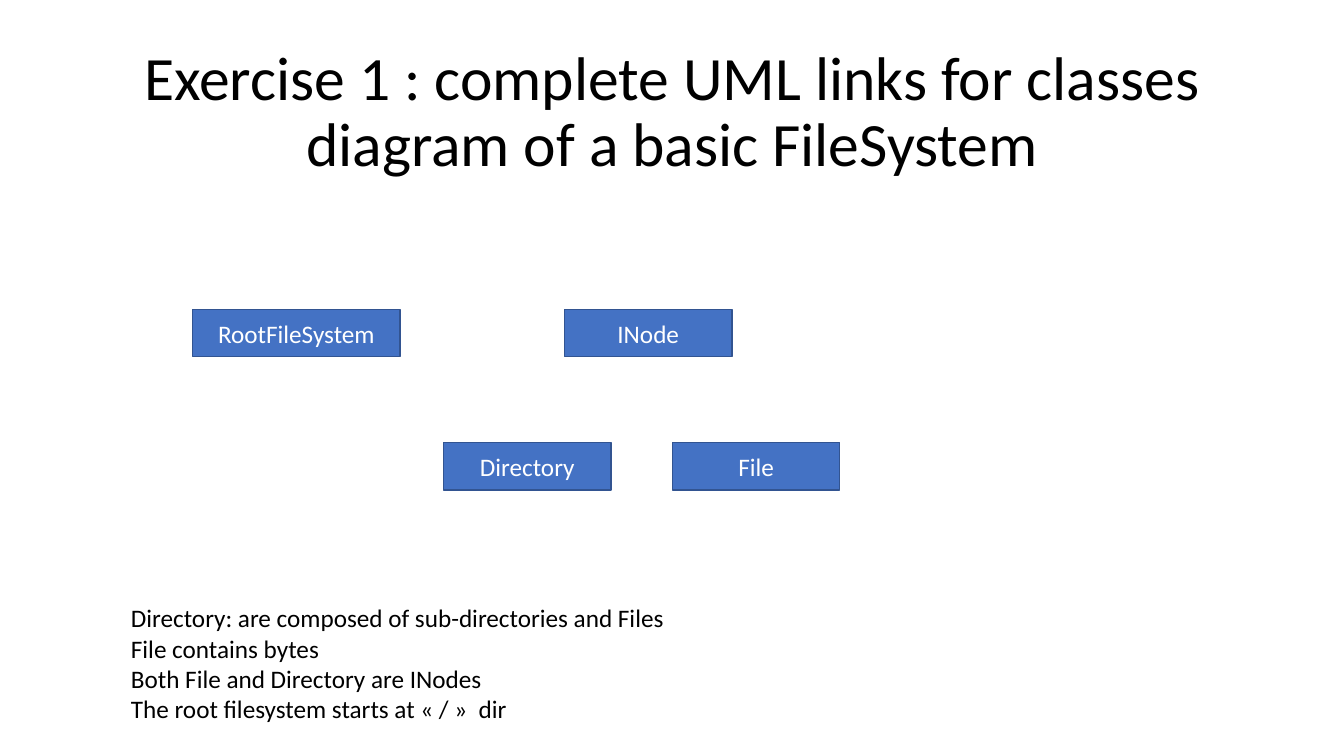
from pptx import Presentation
from pptx.dml.color import RGBColor
from pptx.enum.shapes import MSO_SHAPE
from pptx.enum.text import MSO_ANCHOR, MSO_AUTO_SIZE, PP_ALIGN
from pptx.util import Inches, Pt

COLORS = {"text": "000000", "box": "4472C4", "border": "325491", "label": "FFFFFF"}


def write(p, text, size=18, color="text", align=PP_ALIGN.LEFT, spacing=None):
    p.alignment = align
    p.line_spacing = spacing
    r = p.add_run()
    r.text = text
    r.font.name = "Calibri"
    r.font.size = Pt(size)
    r.font.color.rgb = RGBColor.from_string(COLORS[color])


prs = Presentation()
prs.slide_width, prs.slide_height = Inches(13.33), Inches(7.5)
slide = prs.slides.add_slide(prs.slide_layouts[5])

title = slide.shapes.title
title.left, title.top = Inches(0.92), Inches(0.4)
title.width, title.height = Inches(11.5), Inches(1.45)
tf = title.text_frame
tf.word_wrap = True
tf.auto_size = MSO_AUTO_SIZE.NONE
tf.vertical_anchor = MSO_ANCHOR.MIDDLE
write(tf.paragraphs[0],
      "Exercise 1 : complete UML links for classes diagram of a basic FileSystem",
      size=44, align=PP_ALIGN.CENTER, spacing=0.9)

# UML classes: name, left, top, width
classes = [
    ("RootFileSystem", 1.91, 3.07, 2.06),
    ("INode", 5.6, 3.07, 1.66),
    ("Directory", 4.4, 4.39, 1.66),
    ("File", 6.67, 4.39, 1.66),
]
for name, left, top, width in classes:
    sp = slide.shapes.add_shape(MSO_SHAPE.RECTANGLE, Inches(left), Inches(top),
                                Inches(width), Inches(0.47))
    sp.shadow.inherit = False
    sp.fill.solid()
    sp.fill.fore_color.rgb = RGBColor.from_string(COLORS["box"])
    sp.line.color.rgb = RGBColor.from_string(COLORS["border"])
    sp.line.width = Pt(1)
    tf = sp.text_frame
    tf.vertical_anchor = MSO_ANCHOR.MIDDLE
    write(tf.paragraphs[0], name, color="label", align=PP_ALIGN.CENTER)

rules = [
    "Directory: are composed of sub-directories and Files",
    "File contains bytes",
    "Both File and Directory are INodes",
    "The root filesystem starts at « / »  dir",
]
notes = slide.shapes.add_textbox(Inches(1.2), Inches(5.93), Inches(5.55), Inches(1.31))
tf = notes.text_frame
tf.word_wrap = False
tf.auto_size = MSO_AUTO_SIZE.SHAPE_TO_FIT_TEXT
for i, rule in enumerate(rules):
    write(tf.add_paragraph() if i else tf.paragraphs[0], rule)

prs.save("out.pptx")
